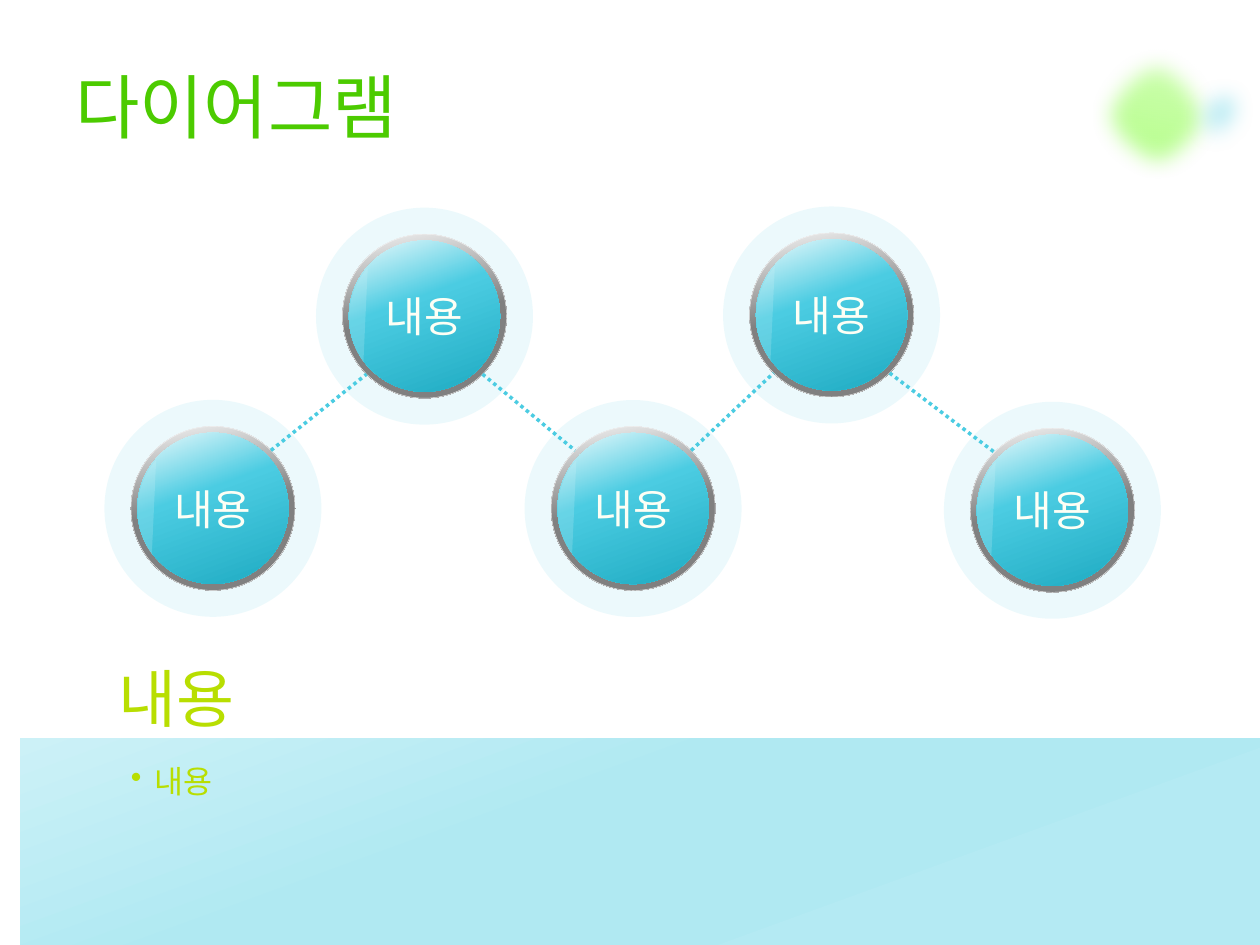
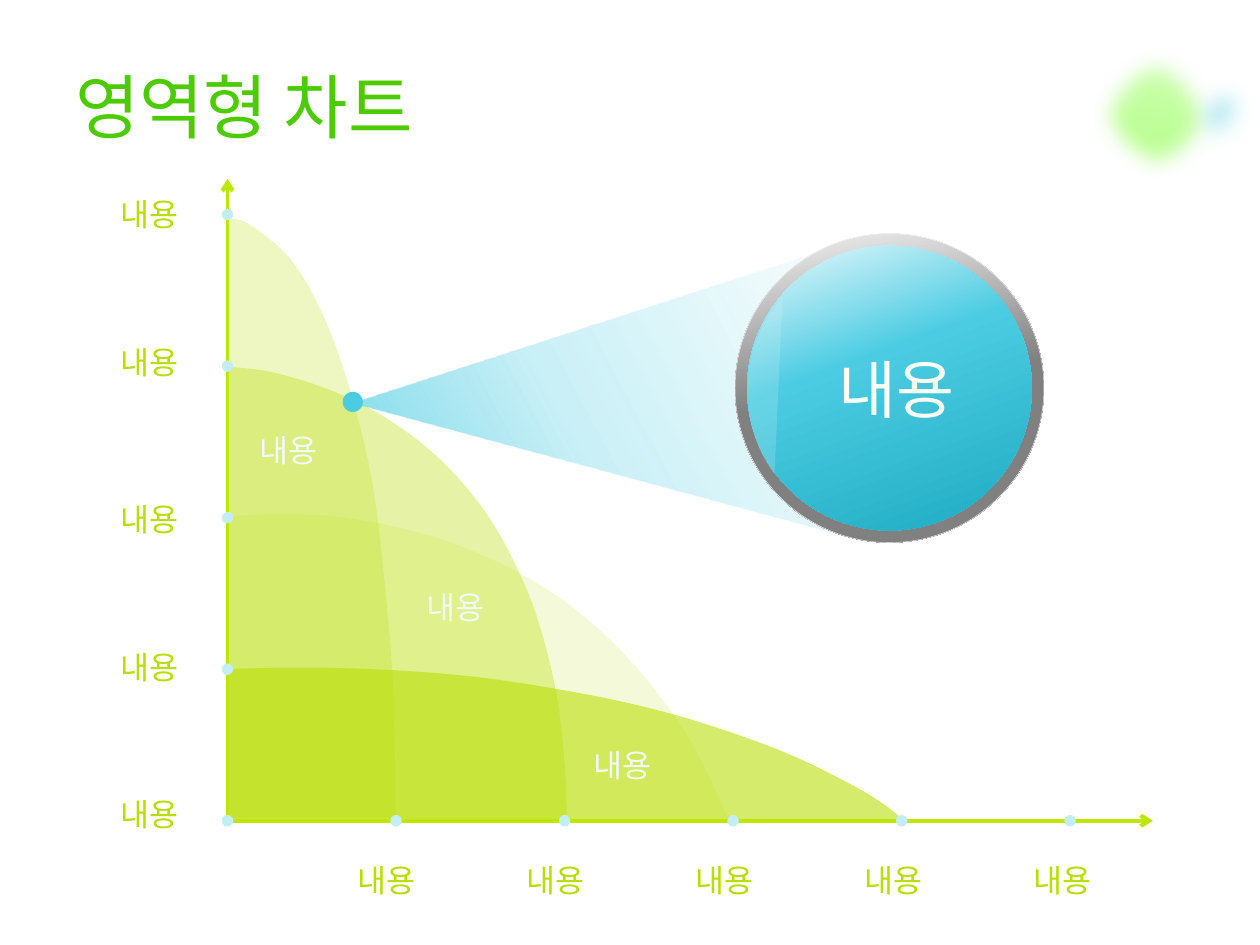
"""Build a linked-badge diagram slide and an area chart slide."""
import lxml.etree
import pptx
import pptx.dml.color
import pptx.enum.dml
import pptx.enum.shapes
import pptx.enum.text
import pptx.oxml.ns
import pptx.util

Pt = pptx.util.Pt
SHAPES = pptx.enum.shapes.MSO_SHAPE
ANCHOR = pptx.enum.text.MSO_ANCHOR
ALIGN = pptx.enum.text.PP_ALIGN

TITLE_GREEN, LIME, AXIS_LIME = "4CCB00", "B8DE01", "BDE600"
AQUA, PALE_DOT, CREAM, ICE = "4BCCE2", "C4EEF5", "FDFFF5", "EFFBFC"
WORD = "내용"
RING_STOPS = [(0, "F2F2F2", 100), (50, "808080", 100), (100, "808080", 100)]
BALL_STOPS = [(0, "EDFAFC", 100), (40, AQUA, 100), (100, "1FABC2", 100)]
BAND_STOPS = [(0, "CCF1F7", 100), (40, "B0E9F2", 100), (100, "B4EAF3", 100)]
BEAM_STOPS = [(0, AQUA, 75), (40, AQUA, 30), (100, AQUA, 0)]

GREEN_BLOB = [(701.3, 74.2), (683.3, 100.1), (652.3, 105.1), (626.4, 87.1),
              (621.4, 56.2), (639.4, 30.2), (670.3, 24.5), (693.4, 41.8)]
BLUE_BLOB = [(717.8, 75.6), (719.3, 59), (713.5, 43.2), (692.6, 40.3), (676.1, 51.8),
             (672.5, 72.7), (681.1, 89.3), (699.1, 94.3), (710.6, 86.4)]

BADGE_CENTRES = [(121.7, 290.5), (242.6, 180.7), (361.8, 290.6), (475.2, 180), (601.4, 291.6)]
BADGE_BALL = 86.4
RING_RATIO = 1.085

ORIGIN_X, ORIGIN_Y = 130, 469
STEP_X, STEP_Y = 96.3, 86.6
BACK_AREAS = [
    (15, [(130, 295), (158.4, 293.8), (191.5, 295.2), (231.8, 302.4), (267.8, 313.9),
          (304.6, 331.9), (336.2, 354.2), (365.8, 383.8), (389.5, 415.4), (403.2, 439.9),
          (416.2, 468)]),
    (35, [(130, 209.5), (154.1, 212.4), (183.6, 221), (213.8, 234.7), (245.5, 257),
          (271.4, 284.4), (290.2, 313.9), (306, 349.9), (317.5, 393.8), (322.6, 434.9),
          (324, 469)]),
    (24, [(130, 124.6), (139.7, 126.7), (152.6, 135.4), (165.6, 147.6), (178.6, 167.8),
          (191.5, 196.6), (203.8, 236.2), (213.1, 277.9), (219.6, 330.5), (224.6, 392.4),
          (226.1, 467)]),
    (58, [(130, 382.3), (165.6, 381.6), (211, 382.3), (263.5, 385.9), (310.3, 392.4),
          (359.3, 401.8), (401.8, 413.3), (446.4, 429.1), (480.2, 445), (502.6, 457.9),
          (517, 469)]),
]
Y_LABEL_TOPS = [108, 192.2, 282.2, 366.5, 450.7]


def colour(code):
    """Turn a hex string into a colour."""
    return pptx.dml.color.RGBColor.from_string(code)


def add_element(parent, tag, **attributes):
    """Append a drawing element with its attributes."""
    values = {name: str(value) for name, value in attributes.items()}
    return lxml.etree.SubElement(parent, pptx.oxml.ns.qn(tag), values)


def finish(shape, line=None):
    """Remove the shadow and set or hide the outline."""
    shape.shadow.inherit = False
    if line:
        shape.line.color.rgb = colour(line)
        shape.line.width = Pt(0.25)
    else:
        shape.line.fill.background()


def fill_solid(shape, code, opacity=100):
    """Fill a shape with one colour at an opacity in percent."""
    shape.fill.solid()
    shape.fill.fore_color.rgb = colour(code)
    if opacity < 100:
        tone = shape.element.spPr.find(".//" + pptx.oxml.ns.qn("a:srgbClr"))
        add_element(tone, "a:alpha", val=opacity * 1000)


def fill_gradient(shape, stops, angle):
    """Fill a shape with a linear gradient, its angle clockwise in degrees."""
    shape.fill.background()
    properties = shape.element.spPr
    gradient = lxml.etree.Element(pptx.oxml.ns.qn("a:gradFill"), rotWithShape="1")
    stop_list = add_element(gradient, "a:gsLst")
    for position, code, opacity in stops:
        stop = add_element(stop_list, "a:gs", pos=position * 1000)
        tone = add_element(stop, "a:srgbClr", val=colour(code))
        if opacity < 100:
            add_element(tone, "a:alpha", val=opacity * 1000)
    add_element(gradient, "a:lin", ang=round(angle * 60000), scaled=0)
    properties.replace(properties.find(pptx.oxml.ns.qn("a:noFill")), gradient)


def add_preset(host, kind, left, top, width, height, line=None):
    """Add a preset shape to a page or a group."""
    shape = host.shapes.add_shape(kind, Pt(left), Pt(top), Pt(width), Pt(height))
    finish(shape, line)
    return shape


def add_disc(host, centre_x, centre_y, size, kind=SHAPES.OVAL, line=None):
    """Add a round shape by its centre and diameter."""
    return add_preset(host, kind, centre_x - size / 2, centre_y - size / 2, size, size, line)


def add_outline(host, points):
    """Add a closed outline through the points."""
    places = [(Pt(x), Pt(y)) for x, y in points]
    builder = host.shapes.build_freeform(*places[0])
    builder.add_line_segments(places[1:], close=True)
    shape = builder.convert_to_shape()
    finish(shape)
    return shape


def smooth_curve(points, closed=False, steps=6):
    """Return points on a Catmull-Rom curve through the given points."""
    if closed:
        padded = [points[-1], *points, points[0], points[1]]
    else:
        padded = [points[0], *points, points[-1]]
    curve = []
    for knots in zip(padded, padded[1:], padded[2:], padded[3:]):
        for step in range(steps):
            t = step / steps
            curve.append(tuple(
                b + (c - a) * t / 2 + (2 * a - 5 * b + 4 * c - d) * t * t / 2
                + (3 * b - a - 3 * c + d) * t ** 3 / 2
                for a, b, c, d in zip(*knots)))
    return curve if closed else curve + [points[-1]]


def add_text(page, text, left, top, width, height, *, size, code, font="Arial",
             align=ALIGN.LEFT, anchor=ANCHOR.TOP, wrap=True, grow=True, inset=None, bullet=0):
    """Add a text box with one formatted paragraph."""
    box = page.shapes.add_textbox(Pt(left), Pt(top), Pt(width), Pt(height))
    frame = box.text_frame
    frame.word_wrap = wrap
    frame.vertical_anchor = anchor
    if grow:
        frame.auto_size = pptx.enum.text.MSO_AUTO_SIZE.SHAPE_TO_FIT_TEXT
    if inset is not None:
        frame.margin_left = frame.margin_right = Pt(inset)
        frame.margin_top = frame.margin_bottom = Pt(inset)
    para = frame.paragraphs[0]
    para.alignment = align
    if bullet:
        properties = para._p.get_or_add_pPr()
        properties.set("marL", str(Pt(bullet)))
        properties.set("indent", str(-Pt(bullet)))
        add_element(properties, "a:buChar", char="•")
    span = para.add_run()
    span.text = text
    span.font.name = font
    span.font.size = Pt(size)
    span.font.color.rgb = colour(code)


def add_label(page, left, top, code=LIME):
    """Add a small chart label."""
    add_text(page, WORD, left, top, 51, 29, size=18, code=code, wrap=False)


def add_line(page, start, end, code, width, dotted=False, arrow=False):
    """Add a straight line, dotted or with an arrowhead at its end."""
    line = page.shapes.add_connector(pptx.enum.shapes.MSO_CONNECTOR.STRAIGHT,
                                     *(Pt(value) for value in (*start, *end)))
    line.line.color.rgb = colour(code)
    line.line.width = Pt(width)
    if dotted:
        line.line.dash_style = pptx.enum.dml.MSO_LINE.ROUND_DOT
    if arrow:
        add_element(line.line._get_or_add_ln(), "a:tailEnd", type="arrow")
    add_element(line.element.spPr, "a:effectLst")


def add_badge(host, centre_x, centre_y, ball_size):
    """Add a glossy ball inside a metal ring."""
    ring = add_disc(host, centre_x, centre_y, ball_size * RING_RATIO, line="F2F2F2")
    fill_gradient(ring, RING_STOPS, 80)
    ball = add_disc(host, centre_x, centre_y, ball_size)
    fill_gradient(ball, BALL_STOPS, 70)
    gloss = add_disc(host, centre_x, centre_y + ball_size * 0.01, ball_size, SHAPES.CHORD)
    gloss.rotation = 90
    for index, degrees in enumerate((53.95, 131.3)):
        gloss.adjustments[index] = degrees * 0.6
    fill_solid(gloss, "DBF5F9", 20)


def add_blob(page, points, stops, angle):
    """Add a soft-edged corner blob."""
    blob = add_outline(page, smooth_curve(points, closed=True))
    fill_gradient(blob, stops, angle)
    effects = blob.element.spPr.find(pptx.oxml.ns.qn("a:effectLst"))
    add_element(effects, "a:softEdge", rad=Pt(12.5))


def add_page(deck, title):
    """Add a page with the corner blobs and the title."""
    page = deck.slides.add_slide(deck.slide_layouts[6])
    add_blob(page, GREEN_BLOB, [(0, "B2FF84", 100), (100, "B2FF84", 58)], 282.5)
    add_blob(page, BLUE_BLOB, [(0, "8CDFEC", 100), (100, "B0E9F2", 36)], 124.8)
    add_text(page, title, 36, 24, 648, 72.6, size=40, code=TITLE_GREEN,
             font="DejaVu Sans", anchor=ANCHOR.MIDDLE, grow=False)
    return page


def build_diagram(deck):
    """Build the zigzag of linked badges above a content band."""
    page = add_page(deck, "다이어그램")
    band = add_preset(page, SHAPES.RECTANGLE, 11.5, 422, 708.5, 118)
    fill_gradient(band, BAND_STOPS, 70)
    for x, y in BADGE_CENTRES:
        group = page.shapes.add_group_shape()
        fill_solid(add_disc(group, x, y, 124), AQUA, 10)
        add_badge(group, x, y, BADGE_BALL)
        add_text(page, WORD, x - 42, y - 18, 84, 36, size=24, code=CREAM, align=ALIGN.CENTER)
    reach = BADGE_BALL * RING_RATIO / 2 * 0.707
    for (x1, y1), (x2, y2) in zip(BADGE_CENTRES, BADGE_CENTRES[1:]):
        drop = reach if y2 > y1 else -reach
        add_line(page, (x1 + reach, y1 + drop), (x2 - reach, y2 - drop), AQUA, 2, dotted=True)
    add_text(page, WORD, 67.7, 432, 573, 93.6, size=18, code=LIME, bullet=13.5)
    add_text(page, WORD, 67.7, 376.6, 584.6, 43.2, size=36, code=LIME,
             anchor=ANCHOR.BOTTOM, inset=0)


def build_area_chart(deck):
    """Build the overlapping areas with axes and a highlighted point."""
    page = add_page(deck, "영역형 차트")
    for opacity, crest in BACK_AREAS:
        corner = (ORIGIN_X, crest[-1][1])
        fill_solid(add_outline(page, smooth_curve(crest) + [corner]), LIME, opacity)
    for tip in ((ORIGIN_X, 102.2), (658.8, ORIGIN_Y)):
        add_line(page, (ORIGIN_X, ORIGIN_Y), tip, AXIS_LIME, 2.25, arrow=True)
    ticks = [(ORIGIN_X, ORIGIN_Y - STEP_Y * index) for index in range(5)]
    ticks += [(ORIGIN_X + STEP_X * index, ORIGIN_Y) for index in range(1, 6)]
    for x, y in ticks:
        fill_solid(add_disc(page, x, y, 6.6), PALE_DOT)
    for index in range(3):
        add_label(page, 141 + 95.5 * index, 242.6 + 90 * index, ICE)
    for index, top in enumerate(Y_LABEL_TOPS):
        add_label(page, 62, top)
        add_label(page, 197.3 + 96.5 * index, 488.2)
    beam = add_outline(page, [(201.6, 230.4), (496.8, 134.6), (497.5, 310.3)])
    fill_gradient(beam, BEAM_STOPS, 331.9)
    add_badge(page.shapes.add_group_shape(), 508.3, 221.8, 162.7)
    fill_solid(add_disc(page, 201.6, 229.7, 11.5), AQUA)
    add_text(page, WORD, 472.3, 196.6, 86.4, 51, size=36, code=CREAM,
             anchor=ANCHOR.MIDDLE, wrap=False)


def main():
    """Build and save the deck."""
    deck = pptx.Presentation()
    deck.slide_width, deck.slide_height = Pt(720), Pt(540)
    build_diagram(deck)
    build_area_chart(deck)
    deck.save("out.pptx")


if __name__ == "__main__":
    main()
